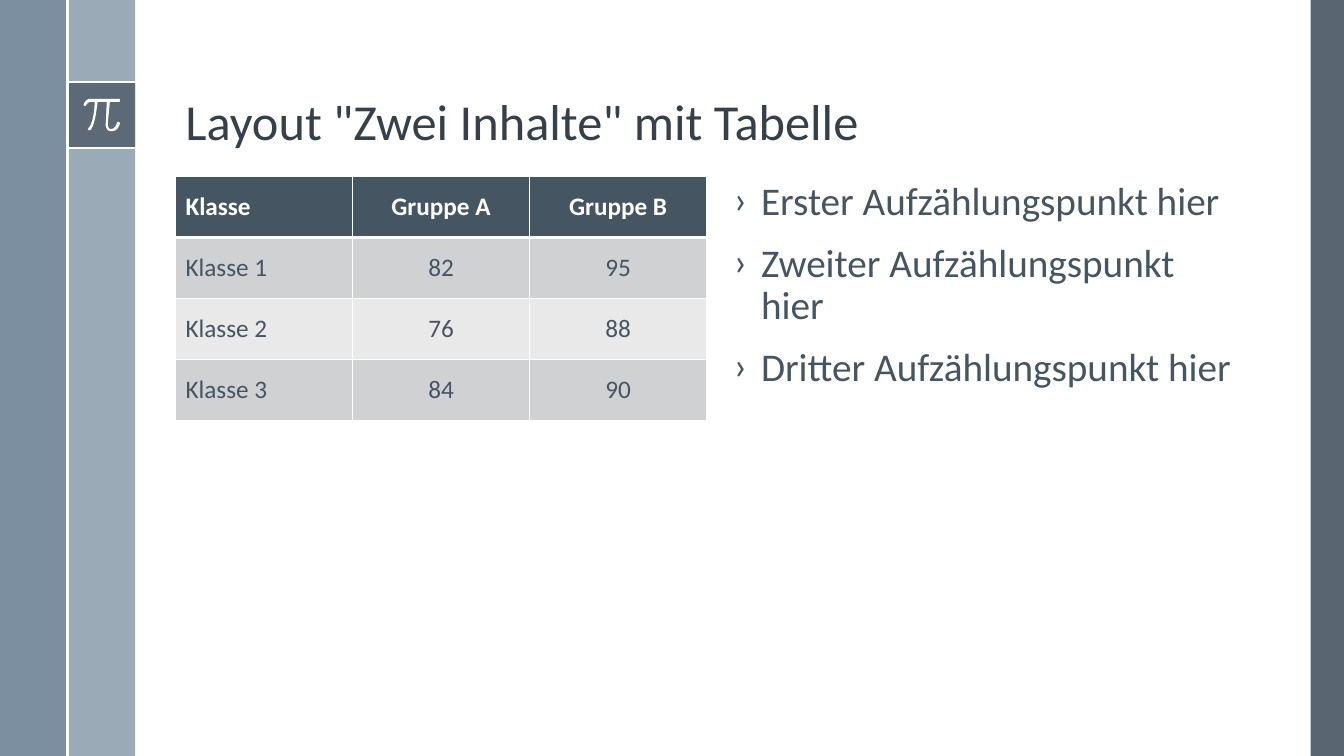
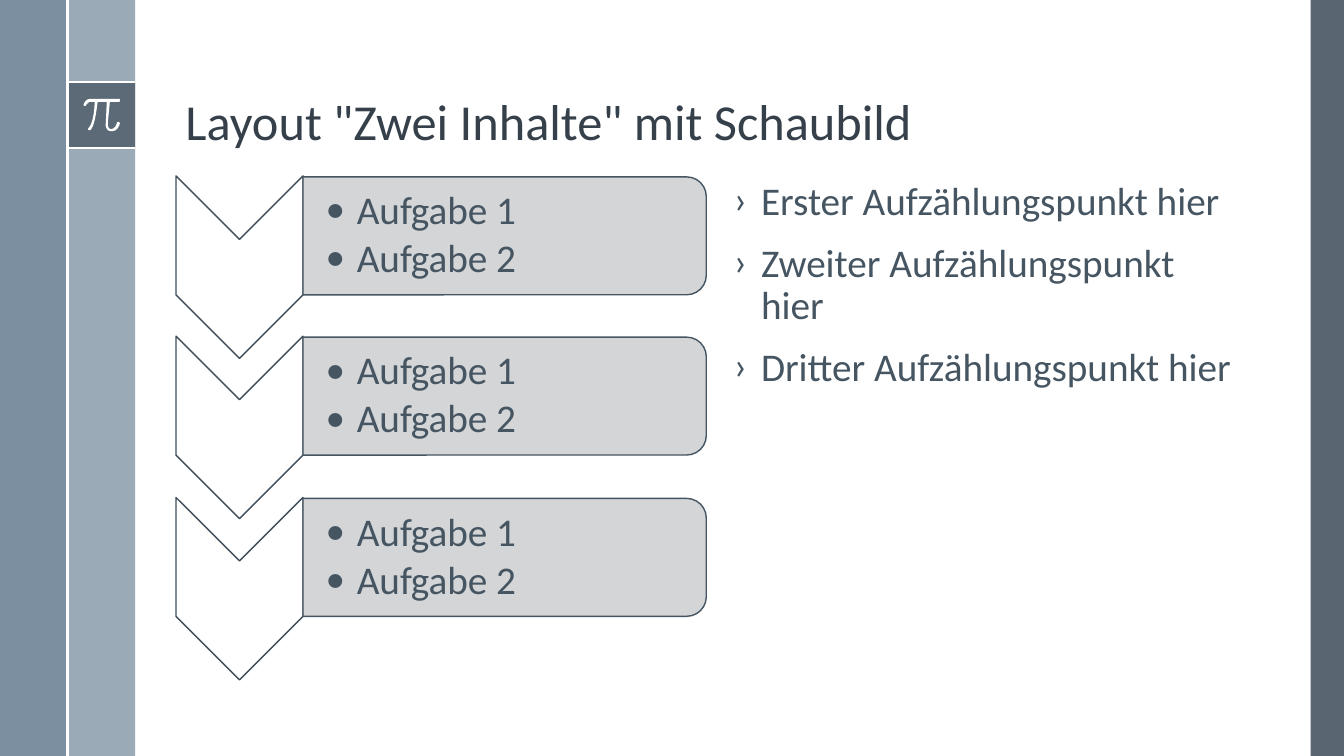
from lxml import etree
from pptx import Presentation
from pptx.dml.color import RGBColor
from pptx.enum.shapes import MSO_CONNECTOR, MSO_SHAPE
from pptx.enum.text import MSO_ANCHOR, PP_ALIGN
from pptx.oxml.ns import qn
from pptx.util import Pt

PX = 9144
FONT = "Calibri"
RECT, CHEVRON = MSO_SHAPE.RECTANGLE, MSO_SHAPE.CHEVRON
ROUND_TOP = MSO_SHAPE.ROUND_2_SAME_RECTANGLE
STRAIGHT = MSO_CONNECTOR.STRAIGHT
TOP, MIDDLE, BOTTOM = MSO_ANCHOR.TOP, MSO_ANCHOR.MIDDLE, MSO_ANCHOR.BOTTOM
LEFT, CENTER = PP_ALIGN.LEFT, PP_ALIGN.CENTER

WHITE, TITLE, TEXT = "FFFFFF", "35404A", "465562"
SLATE, STEEL, MIST = "475562", "6A8093", "9BAAB7"
DARK_ROW, LIGHT_ROW, OUTLINE = "CFD1D3", "E9E9EA", "404D59"

W, H = 1333, 750
BANDS = [
    ((1300, 0, 33, H), SLATE, 90),
    ((67, 0, 67, H), MIST, 100),
    ((0, 0, 67, H), STEEL, 88),
    ((67, 81, 67, 66), SLATE, 75),
]
RULES = [(67, 81, 134, 81), (67, 147, 134, 147), (67, 0, 67, H)]
PI_START = (118, 98)
PI_PATH = [
    (90, 98),
    (85, 98, 83, 103, 83, 104),
    (83, 104, 83, 105, 84, 105),
    (85, 105),
    (85, 105, 87, 101, 90, 101),
    (94, 101),
    (94, 105, 93, 122, 88, 127),
    (87, 128, 87, 128, 88, 129),
    (88, 129, 89, 129, 90, 129),
    (95, 123, 96, 105, 97, 101),
    (106, 101),
    (105, 122),
    (105, 122, 104, 126, 107, 129),
    (108, 130, 109, 130, 110, 130),
    (111, 130, 111, 130, 112, 130),
    (117, 130, 119, 123, 119, 122),
    (119, 122, 118, 121, 118, 121),
    (117, 121, 116, 121, 116, 122),
    (116, 122, 115, 127, 111, 128),
    (110, 128, 109, 128, 108, 127),
    (107, 126, 107, 123, 107, 122),
    (109, 101),
    (118, 101),
    (119, 101, 119, 100, 119, 100),
    (119, 99, 119, 98, 118, 98),
]

TABLE_TITLE = 'Layout "Zwei Inhalte" mit Tabelle'
TASKS_TITLE = 'Layout "Zwei Inhalte" mit Schaubild'
POINTS = [
    "Erster Aufzählungspunkt hier",
    "Zweiter Aufzählungspunkt hier",
    "Dritter Aufzählungspunkt hier",
]
GRADES = [
    ("Klasse", "Gruppe A", "Gruppe B"),
    ("Klasse 1", "82", "95"),
    ("Klasse 2", "76", "88"),
    ("Klasse 3", "84", "90"),
]
TASKS = [("Aufgabe 1", "Aufgabe 2")] * 3
TWO_STEPS = 319


def rgb(color):
    return RGBColor.from_string(color)


def emu(*lengths):
    return [round(v * PX) for v in lengths]


def add_run(p, text, size, color, bold=False):
    r = p.add_run()
    r.text = text
    r.font.name, r.font.size, r.font.bold = FONT, Pt(size), bold
    r.font.color.rgb = rgb(color)


def paint(sp, color, alpha=100, outline=None):
    sp.shadow.inherit = False
    sp.fill.solid()
    sp.fill.fore_color.rgb = rgb(color)
    if alpha < 100:
        clr = sp._element.spPr.find(qn("a:solidFill"))[0]
        etree.SubElement(clr, qn("a:alpha"), val=str(alpha * 1000))
    if outline:
        sp.line.color.rgb = rgb(outline)
        sp.line.width = Pt(1)
    else:
        sp.line.fill.background()


def add_block(s, kind, box, color, alpha=100, outline=None, rotation=0):
    sp = s.shapes.add_shape(kind, *emu(*box))
    sp.rotation = rotation
    paint(sp, color, alpha, outline)


def add_rule(s, ends):
    line = s.shapes.add_connector(STRAIGHT, *emu(*ends))
    line.line.color.rgb = rgb(WHITE)
    line.line.width = Pt(1.5)
    etree.SubElement(line._element.spPr, qn("a:effectLst"))


def add_text(s, box, lines, size, color, anchor=TOP, insets=(10, 5, 10, 5),
             bullet=None, indent=0, before=0, after=0):
    tf = s.shapes.add_textbox(*emu(*box)).text_frame
    tf.word_wrap = True
    tf.vertical_anchor = anchor
    tf.margin_left, tf.margin_top, tf.margin_right, tf.margin_bottom = emu(*insets)
    for i, text in enumerate(lines):
        p = tf.paragraphs[0] if i == 0 else tf.add_paragraph()
        p.line_spacing = 0.9
        p.space_before, p.space_after = Pt(before), Pt(after)
        if bullet:
            pPr = p._p.get_or_add_pPr()
            pPr.set("marL", str(indent * PX))
            pPr.set("indent", str(-indent * PX))
            etree.SubElement(pPr, qn("a:buFont"), typeface=FONT)
            etree.SubElement(pPr, qn("a:buChar"), char=bullet)
        add_run(p, text, size, color)


def trace(start, path, steps=6):
    points, here = [], start
    for seg in path:
        if len(seg) == 2:
            points.append(seg)
        else:
            ctrl = [here, seg[:2], seg[2:4], seg[4:]]
            for k in range(1, steps + 1):
                t = k / steps
                weights = [(1 - t) ** 3, 3 * t * (1 - t) ** 2, 3 * t * t * (1 - t), t ** 3]
                points.append(tuple(sum(w * c[axis] for w, c in zip(weights, ctrl))
                                    for axis in (0, 1)))
        here = seg[-2:]
    return points


def add_pi(s):
    fb = s.shapes.build_freeform(*emu(*PI_START), scale=1.0)
    fb.add_line_segments([emu(*pt) for pt in trace(PI_START, PI_PATH)], close=True)
    paint(fb.convert_to_shape(), WHITE)


def add_slide(prs, title):
    s = prs.slides.add_slide(prs.slide_layouts[6])
    for box, color, alpha in BANDS:
        add_block(s, RECT, box, color, alpha)
    for ends in RULES:
        add_rule(s, ends)
    add_pi(s)
    add_text(s, (174, 19, 1070, 136), [title], 36, TITLE, BOTTOM)
    add_text(s, (718, 175, 527, 500), POINTS, 28, TEXT,
             bullet="›", indent=27, before=14)
    return s


def set_borders(cell, bottom):
    tcPr = cell._tc.get_or_add_tcPr()
    for i, (side, width) in enumerate([("L", 1), ("R", 1), ("T", 1), ("B", bottom)]):
        ln = etree.Element(qn(f"a:ln{side}"), w=str(Pt(width)))
        fill = etree.SubElement(ln, qn("a:solidFill"))
        etree.SubElement(fill, qn("a:srgbClr"), val=WHITE)
        tcPr.insert(i, ln)


def add_grades(s):
    box = emu(174, 175, 527, 242)
    table = s.shapes.add_table(len(GRADES), len(GRADES[0]), *box).table
    for col in table.columns:
        col.width = box[2] // len(GRADES[0])
    for i, values in enumerate(GRADES):
        table.rows[i].height = box[3] // len(GRADES)
        header = i == 0
        fill = TEXT if header else DARK_ROW if i % 2 else LIGHT_ROW
        for j, value in enumerate(values):
            cell = table.cell(i, j)
            cell.vertical_anchor = MIDDLE
            cell.fill.solid()
            cell.fill.fore_color.rgb = rgb(fill)
            set_borders(cell, 3 if header else 1)
            p = cell.text_frame.paragraphs[0]
            p.alignment = CENTER if j else LEFT
            add_run(p, value, 18, WHITE if header else TEXT, header)


def add_tasks(s):
    for i, tasks in enumerate(TASKS):
        dy = i * TWO_STEPS // 2
        add_block(s, CHEVRON, (147, 202 + dy, 181, 126), WHITE,
                  outline=OUTLINE, rotation=90)
        add_block(s, ROUND_TOP, (442, 34 + dy, 117, 400), DARK_ROW, 90, TEXT, 90)
        add_text(s, (301, 181 + dy, 394, 106), tasks, 28, TEXT, MIDDLE,
                 (22, 2, 2, 2), "•", 31, after=4)


def main():
    prs = Presentation()
    prs.slide_width, prs.slide_height = emu(W, H)
    add_grades(add_slide(prs, TABLE_TITLE))
    add_tasks(add_slide(prs, TASKS_TITLE))
    prs.save("out.pptx")


if __name__ == "__main__":
    main()
